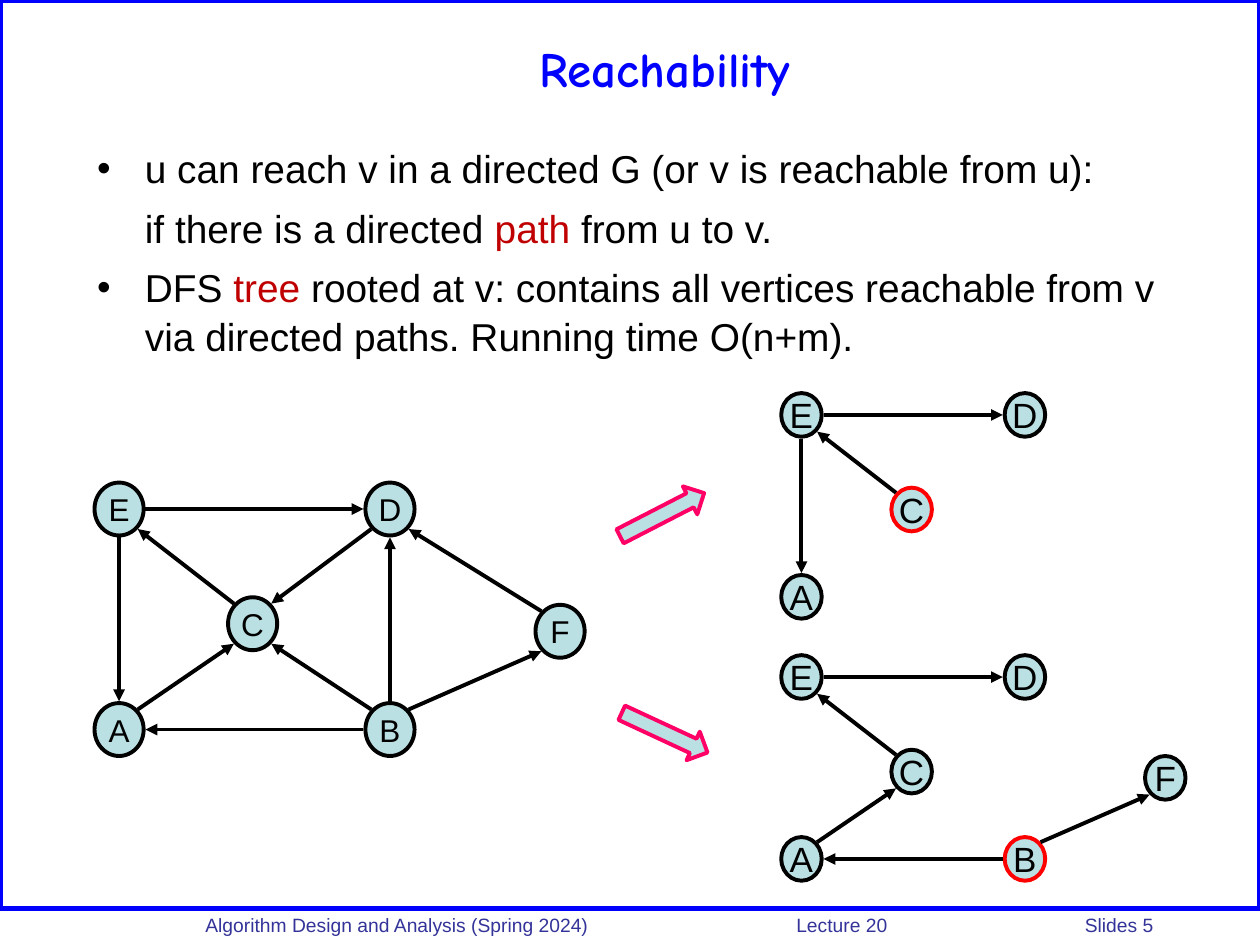
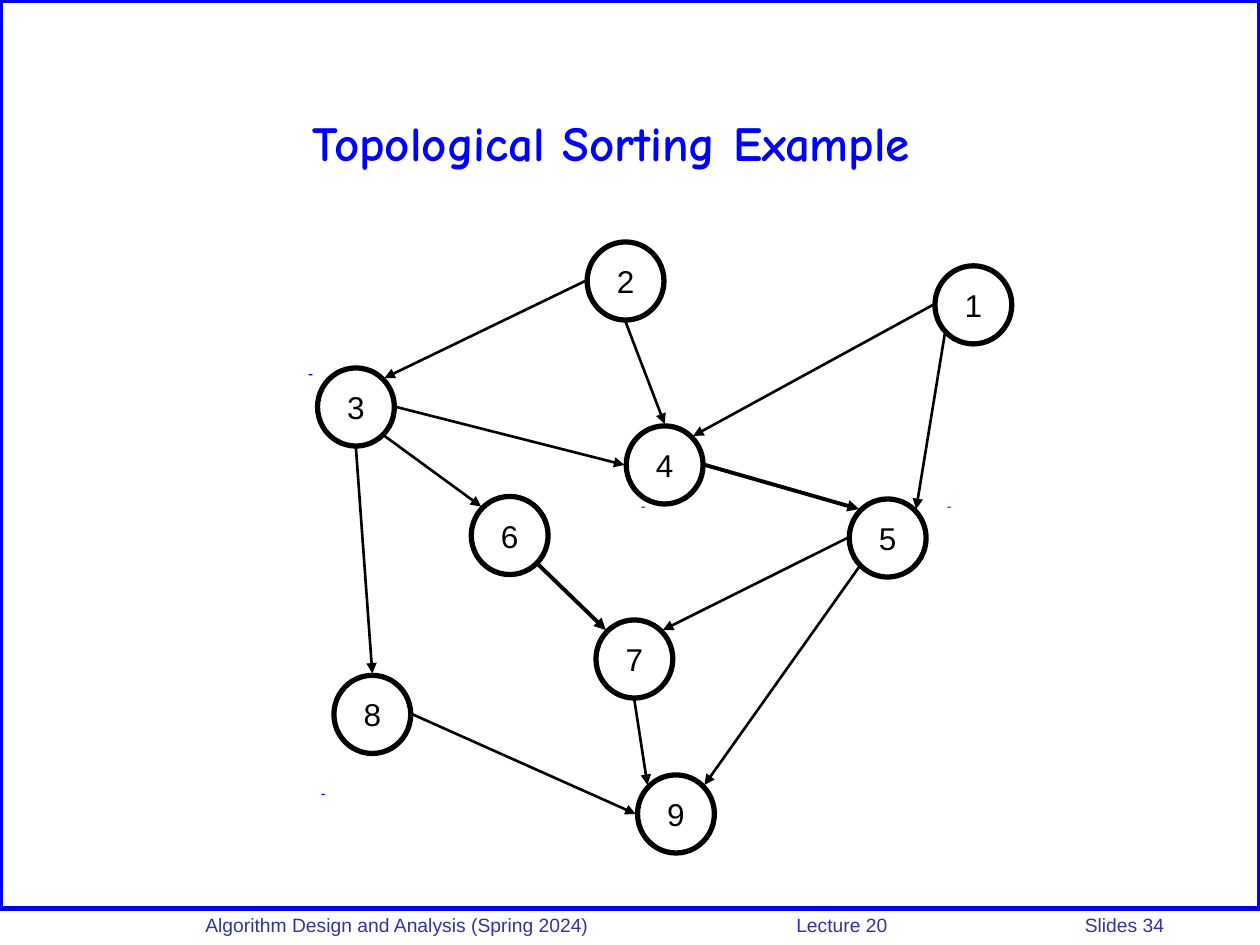
import pptx
import pptx.util
import pptx.dml.color
import pptx.enum.shapes
import pptx.enum.text
import pptx.oxml.ns
import lxml.etree

Inches, Pt = pptx.util.Inches, pptx.util.Pt
SHAPE = pptx.enum.shapes.MSO_SHAPE
ALIGN = pptx.enum.text.PP_ALIGN
MIDDLE = pptx.enum.text.MSO_ANCHOR.MIDDLE
FIXED = pptx.enum.text.MSO_AUTO_SIZE.NONE
qn = pptx.oxml.ns.qn

COLORS = {
    "blue": "0000FF", "navy": "333399", "black": "000000", "white": "FFFFFF",
    "aqua": "BBE0E3", "red": "FF0000", "pink": "FF0066", "key": "C00000",
}
FONTS = {
    "title": {"name": "Comic Neue", "size": Pt(28), "bold": True},
    "body": {"name": "Arial", "size": Pt(22.2), "bold": False},
    "foot": {"name": "Arial", "size": Pt(11)},
}
# Compass points on a node's rim
DIAG = 0.707
RIM = {
    "n": (0, -1), "s": (0, 1), "w": (-1, 0), "e": (1, 0),
    "nw": (-DIAG, -DIAG), "ne": (DIAG, -DIAG),
    "sw": (-DIAG, DIAG), "se": (DIAG, DIAG),
}
GAP = 0.015


def put(obj, values):
    for name, value in values.items():
        setattr(obj, name, value)


def tint(color, name):
    color.rgb = pptx.dml.color.RGBColor.from_string(COLORS[name])


def ink(font, values, color):
    put(font, values)
    tint(font.color, color)


def place(shape, box):
    put(shape, dict(zip(("left", "top", "width", "height"), map(Inches, box))))


def draw(slide, kind, box, fill=None, line=None, width=2.25):
    shape = slide.shapes.add_shape(kind, *map(Inches, box))
    shape.shadow.inherit = False
    if fill:
        shape.fill.solid()
        tint(shape.fill.fore_color, fill)
    else:
        shape.fill.background()
    if line:
        tint(shape.line.color, line)
        shape.line.width = Pt(width)
    else:
        shape.line.fill.background()
    return shape


# Shared slide parts
def frame(deck, slide):
    """Draw the blue border and move it to the master."""
    border = draw(slide, SHAPE.RECTANGLE, (0, 0, 10, 7.21), None, "blue", 3)
    deck.slide_master.shapes.element.insert(2, border.element)


def title(slide, text, box):
    shape = slide.shapes.title
    place(shape, box)
    put(shape.text_frame, {"text": text, "auto_size": FIXED,
                           "vertical_anchor": MIDDLE})
    para = shape.text_frame.paragraphs[0]
    para.alignment = ALIGN.CENTER
    ink(para.runs[0].font, FONTS["title"], "blue")


def footer(slide, page, box=(1.33, 7.2, 8.67, 0.26)):
    text = slide.shapes.add_textbox(*map(Inches, box)).text_frame
    put(text, {"word_wrap": True, "margin_left": Inches(0.3)})
    para = text.paragraphs[0]
    props = para._p.get_or_add_pPr()
    tabs = lxml.etree.SubElement(props, qn("a:tabLst"))
    for stop in (4.69, 6.98):
        lxml.etree.SubElement(tabs, qn("a:tab"), pos=str(Inches(stop)), algn="l")
    run = para.add_run()
    run.text = ("Algorithm Design and Analysis (Spring 2024)"
                f"\tLecture 20\tSlides {page}")
    ink(run.font, FONTS["foot"], "navy")


def body(slide, items, box):
    """Fill the list; each item is (bullet or not, [(text, color), ...])."""
    shape = slide.placeholders[1]
    place(shape, box)
    text = shape.text_frame
    text.auto_size = FIXED
    for i, (dot, runs) in enumerate(items):
        para = text.add_paragraph() if i else text.paragraphs[0]
        props = para._p.get_or_add_pPr()
        props.set("marL", str(Inches(0.38)))
        props.set("indent", str(-Inches(0.38) if dot else 0))
        if dot:
            lxml.etree.SubElement(props, qn("a:buChar"), char="•")
        else:
            lxml.etree.SubElement(props, qn("a:buNone"))
        put(para, {"space_before": Pt(6 if i else 0), "line_spacing": 1.05,
                   "alignment": ALIGN.LEFT})
        for words, color in runs:
            run = para.add_run()
            run.text = words
            ink(run.font, FONTS["body"], color)


# Graph parts
def node(slide, name, box, look, line):
    shape = draw(slide, SHAPE.OVAL, box, look["fill"], line, look["line"])
    text = shape.text_frame
    put(text, {"word_wrap": False, "vertical_anchor": MIDDLE})
    para = text.paragraphs[0]
    para.alignment = ALIGN.CENTER
    run = para.add_run()
    run.text = name
    ink(run.font, {"name": "Arial", "size": Pt(look["text"])}, "black")


def arrow(slide, start, end, width):
    line = slide.shapes.add_connector(
        pptx.enum.shapes.MSO_CONNECTOR.STRAIGHT, *map(Inches, start + end))
    tint(line.line.color, "black")
    line.line.width = Pt(width)
    lxml.etree.SubElement(line.line._get_or_add_ln(), qn("a:tailEnd"),
                          type="triangle")
    lxml.etree.SubElement(line.element.spPr, qn("a:effectLst"))


def graph(slide, origin, spots, edges, look, scale=1, root=None):
    """Draw the nodes the edges use; edges map a width to 'A ne > C sw'."""
    wide, high = (size * scale for size in look["size"])
    left, top = origin
    pairs = [(edge.replace(">", "").split(), width)
             for width, group in edges.items() for edge in group]
    used = {name for ends, _ in pairs for name in ends[::2]}

    def rim(name, side):
        x, y = spots[name]
        dx, dy = RIM[side]
        return (left + x * scale + wide / 2 + dx * (wide / 2 + GAP),
                top + y * scale + high / 2 + dy * (high / 2 + GAP))

    for name, (x, y) in spots.items():
        if name in used:
            box = (left + x * scale, top + y * scale, wide, high)
            node(slide, name, box, look, "red" if name == root else "black")
    for (tail, out, head, into), width in pairs:
        arrow(slide, rim(tail, out), rim(head, into), width)


# Slides
def reach(slide):
    title(slide, "Reachability", (2.67, 0.25, 5.21, 0.58))
    body(slide, [
        (True, [("u can reach v in a directed G (or v is reachable from u):",
                 "black")]),
        (False, [("if there is a directed ", "black"), ("path", "key"),
                 (" from u to v.", "black")]),
        (True, [("DFS ", "black"), ("tree", "key"),
                (" rooted at v: contains all vertices reachable from v "
                 "via directed paths. Running time O(n+m).", "black")]),
    ], (0.67, 1.08, 9, 1.83))

    # Full graph and the two DFS trees, which keep its layout
    spots = {"A": (0, 1.75), "C": (1.06, 0.91), "E": (0, 0),
             "B": (2.15, 1.75), "D": (2.15, 0), "F": (3.5, 0.97)}
    look = {"size": (0.39, 0.42), "fill": "aqua", "line": 2.25, "text": 18}
    small = {**look, "text": 20}
    core = ["C nw > E se", "E e > D w"]
    down = ["E s > A n"]
    span = ["B w > A e", "B ne > F sw", "A ne > C sw"]
    rest = ["F nw > D se", "B n > D s", "D sw > C ne", "B nw > C se"]
    graph(slide, (0.75, 3.83), spots, {2.25: core + down + span + rest}, look)
    for top, edges, root in ((3.12, core + down, "C"), (5.2, core + span, "B")):
        graph(slide, (6.2, top), spots, {2.25: edges}, small, 0.825, root)

    # Block arrows to the trees
    for left, top, turn in ((4.88, 3.96, 332.8), (4.9, 5.69, 24.9)):
        block = draw(slide, SHAPE.RIGHT_ARROW, (left, top, 0.75, 0.25),
                     "aqua", "pink")
        block.rotation = turn


def topo(slide):
    title(slide, "Topological Sorting Example ", (0.67, 0.5, 8.5, 1.25))
    # Small dashes
    for left, top in ((2.45, 2.97), (5.09, 4.02), (7.52, 4.02), (2.55, 6.3)):
        draw(slide, SHAPE.RECTANGLE, (left, top, 0.03, 0.01), "blue")

    # Ordered graph
    spots = {"1": (4.9, 0.19), "2": (2.14, 0), "3": (0, 1),
             "4": (2.45, 1.46), "5": (4.22, 2.04), "6": (1.22, 2.02),
             "7": (2.21, 3), "8": (0.13, 3.44), "9": (2.54, 4.23)}
    edges = {
        1.5: ["2 w > 3 ne", "2 s > 4 n", "1 w > 4 ne", "1 sw > 5 ne",
              "3 e > 4 w", "3 se > 6 nw", "3 s > 8 n", "5 w > 7 ne",
              "5 sw > 9 ne", "7 s > 9 nw", "8 e > 9 w"],
        2.25: ["4 e > 5 nw", "6 se > 7 nw"],
    }
    look = {"size": (0.61, 0.62), "fill": "white", "line": 3, "text": 18}
    graph(slide, (2.52, 1.92), spots, edges, look)


def main():
    deck = pptx.Presentation()
    put(deck, {"slide_width": Inches(10), "slide_height": Inches(7.5)})
    for i, (build, layout, page) in enumerate(((reach, 1, 5), (topo, 5, 34))):
        slide = deck.slides.add_slide(deck.slide_layouts[layout])
        if i == 0:
            frame(deck, slide)
        footer(slide, page)
        build(slide)
    deck.save("out.pptx")


if __name__ == "__main__":
    main()
